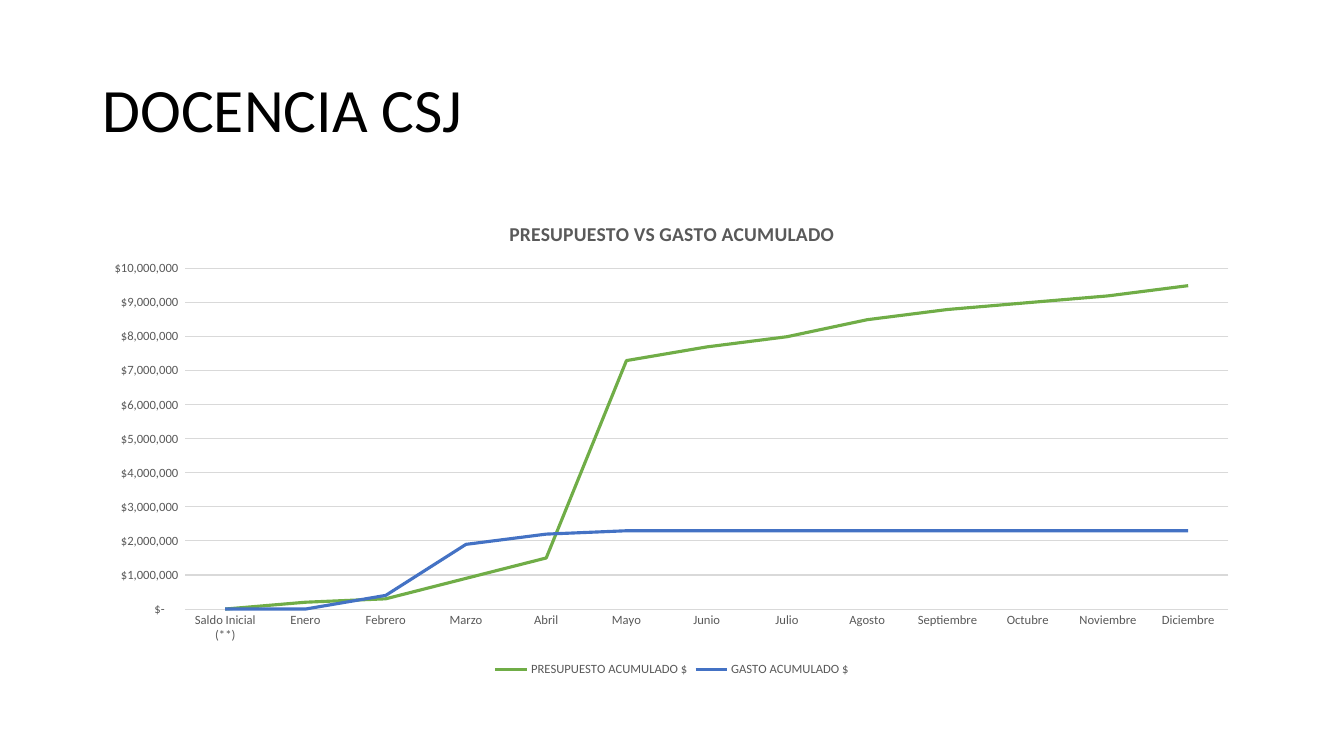
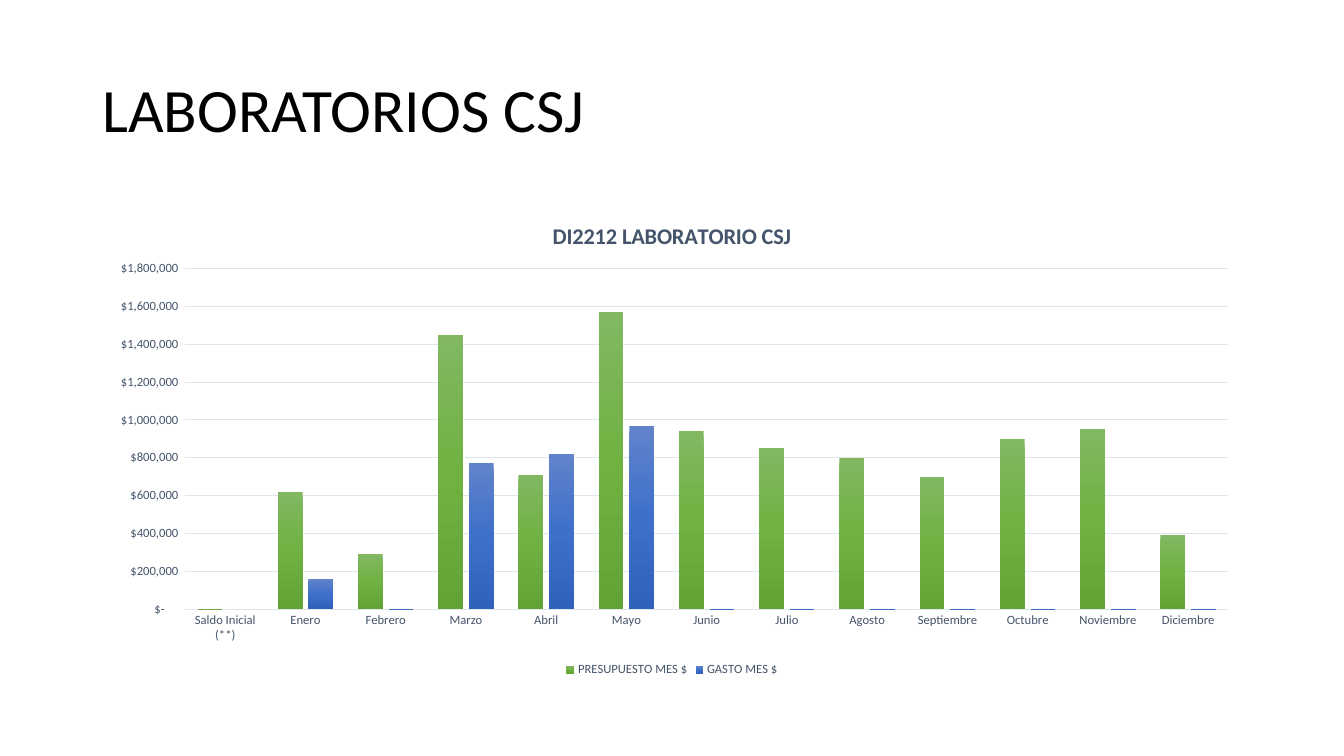
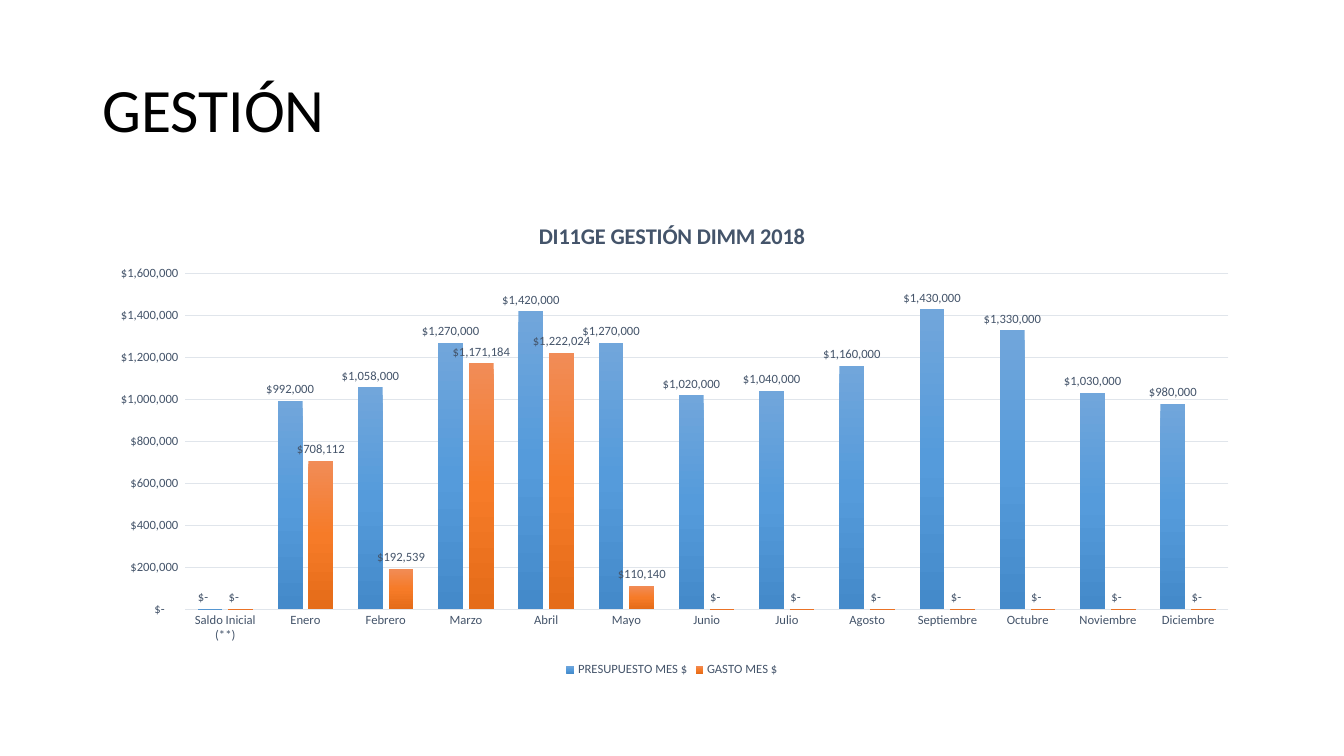
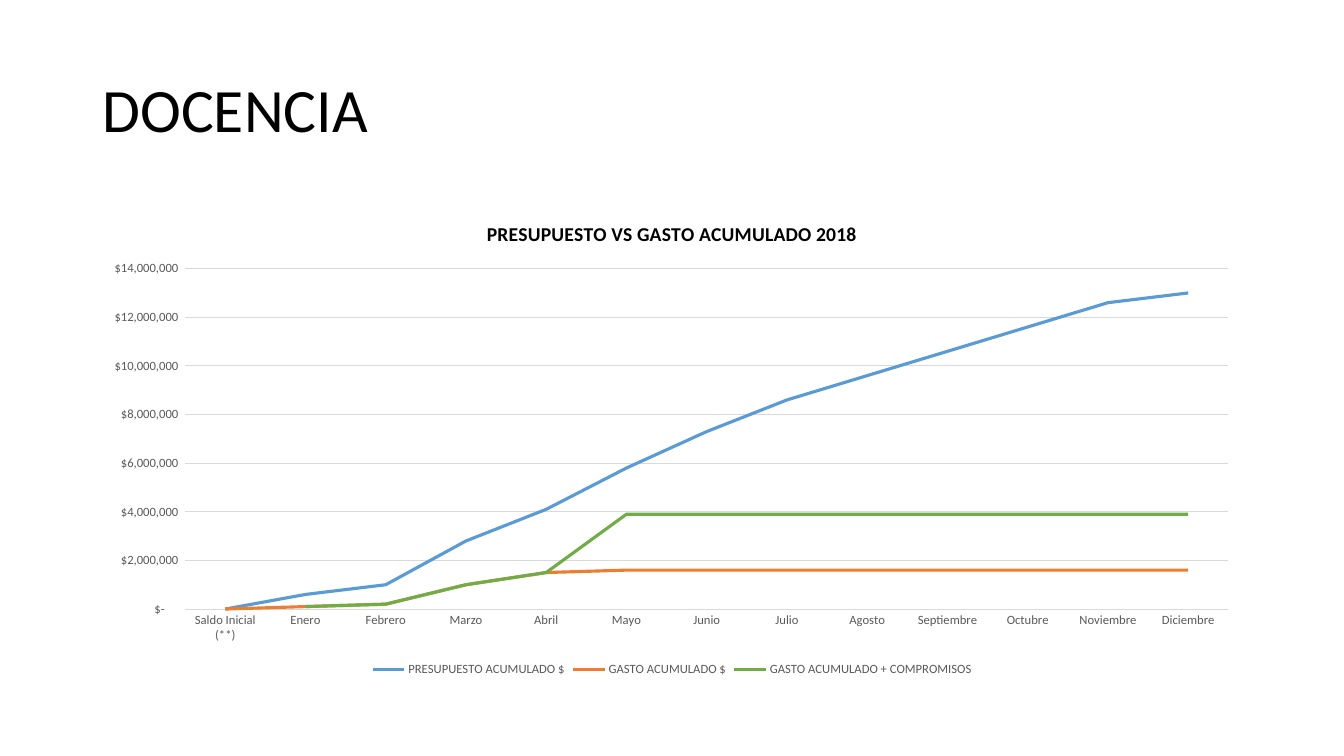
from pptx import Presentation
from pptx.chart.data import CategoryChartData
from pptx.dml.color import RGBColor
from pptx.enum import chart as ch, text as tx
from pptx.oxml import parse_xml
from pptx.oxml.ns import nsdecls
from pptx.util import Pt

# Shared style
FONT = "Calibri"
BLACK = RGBColor(0x00, 0x00, 0x00)
GRAY = RGBColor(0x59, 0x59, 0x59)
GRAY_GRID = RGBColor(0xD9, 0xD9, 0xD9)
SLATE = RGBColor(0x44, 0x54, 0x6A)
SLATE_GRID = RGBColor(0xE0, 0xE5, 0xEB)
GREEN = RGBColor(0x70, 0xAD, 0x47)
BLUE = RGBColor(0x44, 0x72, 0xC4)
SKY = RGBColor(0x5B, 0x9B, 0xD5)
ORANGE = RGBColor(0xED, 0x7D, 0x31)

# Column gradients, top to bottom
GREEN_FADE = [RGBColor(0x81, 0xB8, 0x61), RGBColor(0x6F, 0xB2, 0x42), RGBColor(0x62, 0xA3, 0x36)]
BLUE_FADE = [RGBColor(0x61, 0x83, 0xCB), RGBColor(0x3E, 0x70, 0xCA), RGBColor(0x30, 0x62, 0xBB)]
SKY_FADE = [RGBColor(0x71, 0xA6, 0xDB), RGBColor(0x55, 0x9B, 0xDB), RGBColor(0x44, 0x8A, 0xCA)]
ORANGE_FADE = [RGBColor(0xF1, 0x8C, 0x57), RGBColor(0xF6, 0x7B, 0x28), RGBColor(0xE5, 0x6C, 0x19)]

# Boxes: left, top, width, height in points
TITLE_BOX = (66, 28.5, 828, 104.5)
CHART_BOX = (66, 144, 828, 342.5)

MONEY = '_("$"* #,##0_);_("$"* \\(#,##0\\);_("$"* "-"??_);_(@_)'
MONEY_MX = '_-"$"* #,##0_-;\\-"$"* #,##0_-;_-"$"* "-"??_-;_-@_-'
MONTHS = ["Saldo Inicial (**)", "Enero", "Febrero", "Marzo", "Abril", "Mayo", "Junio",
          "Julio", "Agosto", "Septiembre", "Octubre", "Noviembre", "Diciembre"]
K, M = 1000, 1000000

SLIDES = [
    dict(title="DOCENCIA CSJ", kind="line", heading="PRESUPUESTO VS GASTO ACUMULADO",
         heading_color=GRAY, fmt=MONEY, top=10 * M, step=M, plot=(0.08, 0.14, 0.9, 0.71),
         series=[
             ("PRESUPUESTO ACUMULADO $", GREEN,
              [0, 200 * K, 300 * K, 900 * K, 1500 * K, 7300 * K, 7700 * K, 8000 * K,
               8500 * K, 8800 * K, 9000 * K, 9200 * K, 9500 * K]),
             ("GASTO ACUMULADO $", BLUE,
              [0, 0, 400 * K, 1900 * K, 2200 * K] + [2300 * K] * 8)]),
    dict(title="LABORATORIOS CSJ", kind="column", heading="DI2212 LABORATORIO CSJ",
         heading_color=SLATE, fmt=MONEY, top=1800 * K, step=200 * K,
         plot=(0.08, 0.14, 0.9, 0.71),
         series=[
             ("PRESUPUESTO MES $", GREEN_FADE,
              [0, 620 * K, 290 * K, 1450 * K, 710 * K, 1570 * K, 940 * K, 850 * K,
               800 * K, 700 * K, 900 * K, 950 * K, 390 * K]),
             ("GASTO MES $", BLUE_FADE,
              [None, 160 * K, 0, 770 * K, 820 * K, 970 * K] + [0] * 7)]),
    dict(title="GESTIÓN", kind="column", heading="DI11GE GESTIÓN DIMM 2018",
         heading_color=SLATE, fmt=MONEY_MX, top=1600 * K, step=200 * K, labels=True,
         plot=(0.08, 0.15, 0.9, 0.7),
         series=[
             ("PRESUPUESTO MES $", SKY_FADE,
              [0, 992 * K, 1058 * K, 1270 * K, 1420 * K, 1270 * K, 1020 * K, 1040 * K,
               1160 * K, 1430 * K, 1330 * K, 1030 * K, 980 * K]),
             ("GASTO MES $", ORANGE_FADE,
              [0, 708112, 192539, 1171184, 1222024, 110140] + [0] * 7)]),
    dict(title="DOCENCIA", kind="line", heading="PRESUPUESTO VS GASTO ACUMULADO 2018",
         heading_color=BLACK, fmt=MONEY_MX, top=14 * M, step=2 * M,
         plot=(0.08, 0.14, 0.9, 0.71),
         series=[
             ("PRESUPUESTO ACUMULADO $", SKY,
              [0, 600 * K, 1000 * K, 2800 * K, 4100 * K, 5800 * K, 7300 * K, 8600 * K,
               9600 * K, 10600 * K, 11600 * K, 12600 * K, 13000 * K]),
             ("GASTO ACUMULADO $", ORANGE,
              [0, 100 * K, 200 * K, 1000 * K, 1500 * K] + [1600 * K] * 8),
             ("GASTO ACUMULADO + COMPROMISOS", GREEN,
              [None, 100 * K, 200 * K, 1000 * K, 1500 * K] + [3900 * K] * 8)]),
]

# Chart kinds: type, text colour, grid colour, heading size
KINDS = {
    "line": (ch.XL_CHART_TYPE.LINE, GRAY, GRAY_GRID, 14),
    "column": (ch.XL_CHART_TYPE.COLUMN_CLUSTERED, SLATE, SLATE_GRID, 16),
}


def set_attrs(obj, **values):
    for name, value in values.items():
        setattr(obj, name, value)


def set_font(font, size, color, bold=False):
    set_attrs(font, name=FONT, size=Pt(size), bold=bold)
    font.color.rgb = color


def set_line(line, color, width):
    line.color.rgb = color
    line.width = Pt(width)


def add_title(s, title, box):
    sp = s.shapes.title
    set_attrs(sp, **dict(zip(("left", "top", "width", "height"), map(Pt, box))))
    tf = sp.text_frame
    tf.text = title
    set_attrs(tf, vertical_anchor=tx.MSO_ANCHOR.MIDDLE, word_wrap=True,
              auto_size=tx.MSO_AUTO_SIZE.NONE)
    p = tf.paragraphs[0]
    set_attrs(p, alignment=tx.PP_ALIGN.LEFT, line_spacing=0.9)
    set_font(p.runs[0].font, 44, BLACK)


def fade_fill(series, colors):
    """Vertical gradient with evenly spaced stops."""
    gap = 100000 // (len(colors) - 1)
    stops = "".join(f'<a:gs pos="{i * gap}"><a:srgbClr val="{c}"/></a:gs>'
                    for i, c in enumerate(colors))
    series._element.get_or_add_spPr().insert(0, parse_xml(
        f'<a:gradFill {nsdecls("a")} rotWithShape="1"><a:gsLst>{stops}</a:gsLst>'
        '<a:lin ang="5400000" scaled="0"/></a:gradFill>'))


def place_plot(chart, plot):
    """Fix the inner plot area, as fractions of the chart."""
    area = chart._chartSpace.chart.plotArea
    for old in area.findall("{*}layout"):
        area.remove(old)
    sizes = "".join(f'<c:{n} val="{v}"/>' for n, v in zip("xywh", plot))
    area.insert(0, parse_xml(
        f'<c:layout {nsdecls("c")}><c:manualLayout><c:layoutTarget val="inner"/>'
        f'<c:xMode val="edge"/><c:yMode val="edge"/>{sizes}</c:manualLayout></c:layout>'))


def style_axes(chart, fmt, top, step, color, grid):
    cat, val = chart.category_axis, chart.value_axis
    for axis in (cat, val):
        set_attrs(axis, major_tick_mark=ch.XL_TICK_MARK.NONE,
                  minor_tick_mark=ch.XL_TICK_MARK.NONE)
        set_font(axis.tick_labels.font, 9, color)
    set_line(cat.format.line, grid, 0.75)
    set_attrs(val, minimum_scale=0, maximum_scale=top, major_unit=step,
              has_major_gridlines=True)
    val.format.line.fill.background()
    set_line(val.major_gridlines.format.line, grid, 0.75)
    set_attrs(val.tick_labels, number_format=fmt, number_format_is_linked=False)


def add_labels(plot, fmt, color):
    plot.has_data_labels = True
    labels = plot.data_labels
    set_attrs(labels, show_value=True, number_format=fmt, number_format_is_linked=False,
              position=ch.XL_LABEL_POSITION.OUTSIDE_END)
    set_font(labels.font, 9, color)


def add_budget_chart(s, box, kind, heading, heading_color, fmt, top, step, plot, series,
                     labels=False):
    chart_type, color, grid, heading_size = KINDS[kind]
    data = CategoryChartData()
    data.categories = MONTHS
    for name, _, values in series:
        data.add_series(name, values)
    chart = s.shapes.add_chart(chart_type, *map(Pt, box), data).chart
    set_font(chart.font, 10, BLACK)

    # Heading and legend
    chart.has_title = True
    tf = chart.chart_title.text_frame
    tf.text = heading
    set_font(tf.paragraphs[0].runs[0].font, heading_size, heading_color, True)
    chart.chart_title.include_in_layout = False
    chart.has_legend = True
    set_attrs(chart.legend, position=ch.XL_LEGEND_POSITION.BOTTOM, include_in_layout=False)
    set_font(chart.legend.font, 9, color)

    # Axes and plot area
    style_axes(chart, fmt, top, step, color, grid)
    place_plot(chart, plot)

    # Series
    bars = chart.plots[0]
    bars.vary_by_categories = False
    if kind == "column":
        set_attrs(bars, gap_width=100, overlap=-24)
    for item, (_, paint, _) in zip(bars.series, series):
        if kind == "column":
            fade_fill(item, paint)
        else:
            item.smooth = False
            item.marker.style = ch.XL_MARKER_STYLE.NONE
            set_line(item.format.line, paint, 2.25)
    if labels:
        add_labels(bars, fmt, color)


def add_chart_slide(prs, title, **chart):
    s = prs.slides.add_slide(prs.slide_layouts[5])
    add_title(s, title, TITLE_BOX)
    add_budget_chart(s, CHART_BOX, **chart)


def main():
    prs = Presentation()
    set_attrs(prs, slide_width=Pt(960), slide_height=Pt(540))
    for content in SLIDES:
        add_chart_slide(prs, **content)
    prs.save("out.pptx")


if __name__ == "__main__":
    main()
